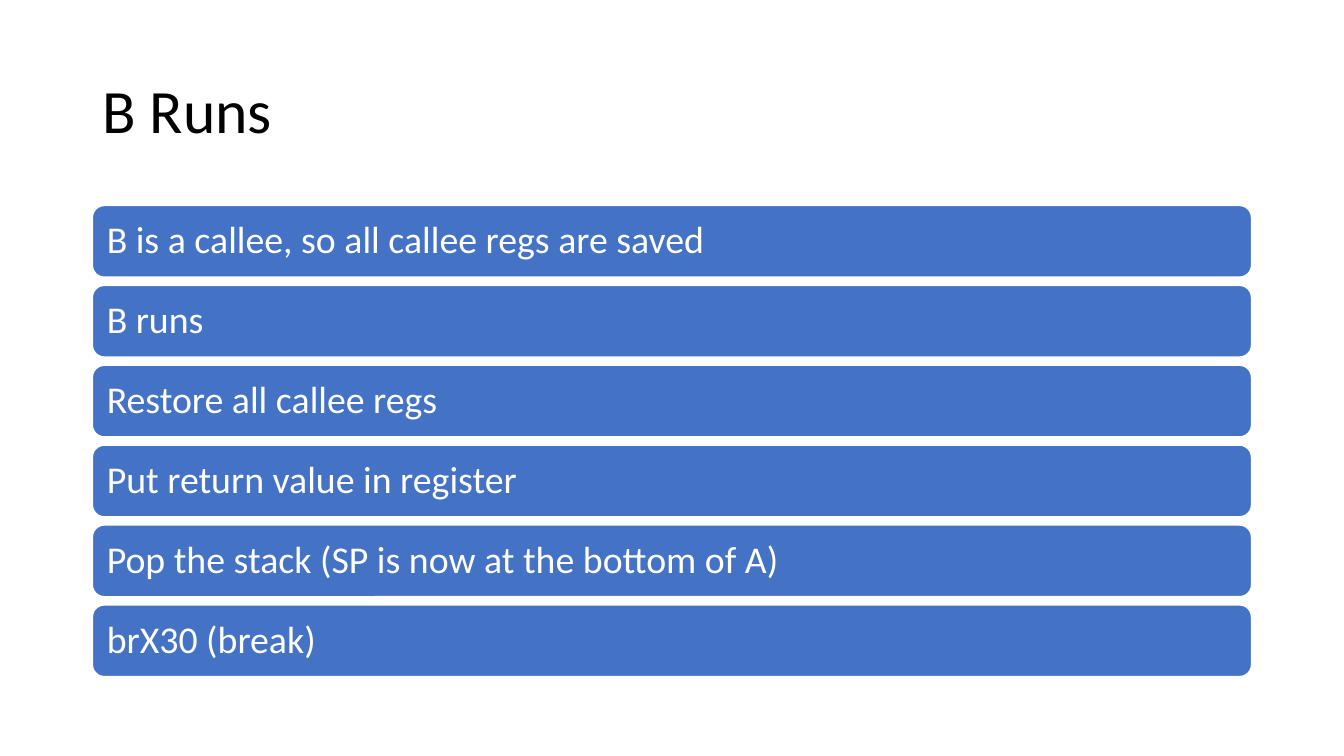
from pptx import Presentation
from pptx.dml.color import RGBColor
from pptx.enum.shapes import MSO_SHAPE
from pptx.enum.text import MSO_ANCHOR, PP_ALIGN
from pptx.util import Pt

ROUNDED = MSO_SHAPE.ROUNDED_RECTANGLE
MIDDLE = MSO_ANCHOR.MIDDLE
LEFT = PP_ALIGN.LEFT

COLORS = {"title": "000000", "bar": "4472C4", "white": "FFFFFF"}
FONT = "Calibri"
MARGIN, WIDTH = 66, 828
BAR_TOP, BAR_HEIGHT, BAR_PITCH = 146.8, 51.2, 57.06
STEPS = [
    "B is a callee, so all callee regs are saved",
    "B runs",
    "Restore all callee regs",
    "Put return value in register",
    "Pop the stack (SP is now at the bottom of A)",
    "brX30 (break)",
]


def rgb(name):
    """Return the named colour."""
    return RGBColor.from_string(COLORS[name])


def set_text(sp, text, size, color):
    """Write one left-aligned, vertically centred paragraph into a shape."""
    tf = sp.text_frame
    tf.text = text
    tf.word_wrap = True
    tf.vertical_anchor = MIDDLE
    p = tf.paragraphs[0]
    p.alignment = LEFT
    p.line_spacing = 0.9
    font = p.runs[0].font
    font.name = FONT
    font.size = Pt(size)
    font.color.rgb = rgb(color)


def add_title(s, text):
    """Add the slide title."""
    sp = s.shapes.add_textbox(Pt(MARGIN), Pt(28.75), Pt(WIDTH), Pt(104.4))
    set_text(sp, text, 44, "title")


def add_bar(s, top, text):
    """Add one rounded step bar."""
    sp = s.shapes.add_shape(ROUNDED, Pt(MARGIN), Pt(top), Pt(WIDTH), Pt(BAR_HEIGHT))
    sp.shadow.inherit = False
    sp.fill.solid()
    sp.fill.fore_color.rgb = rgb("bar")
    sp.line.color.rgb = rgb("white")
    sp.line.width = Pt(1)
    set_text(sp, text, 27, "white")
    sp.text_frame.margin_left = Pt(7.8)


def main():
    """Build the slide and save it."""
    prs = Presentation()
    prs.slide_width, prs.slide_height = Pt(960), Pt(540)
    s = prs.slides.add_slide(prs.slide_layouts[6])
    add_title(s, "B Runs")
    for i, step in enumerate(STEPS):
        add_bar(s, BAR_TOP + i * BAR_PITCH, step)
    prs.save("out.pptx")


main()
